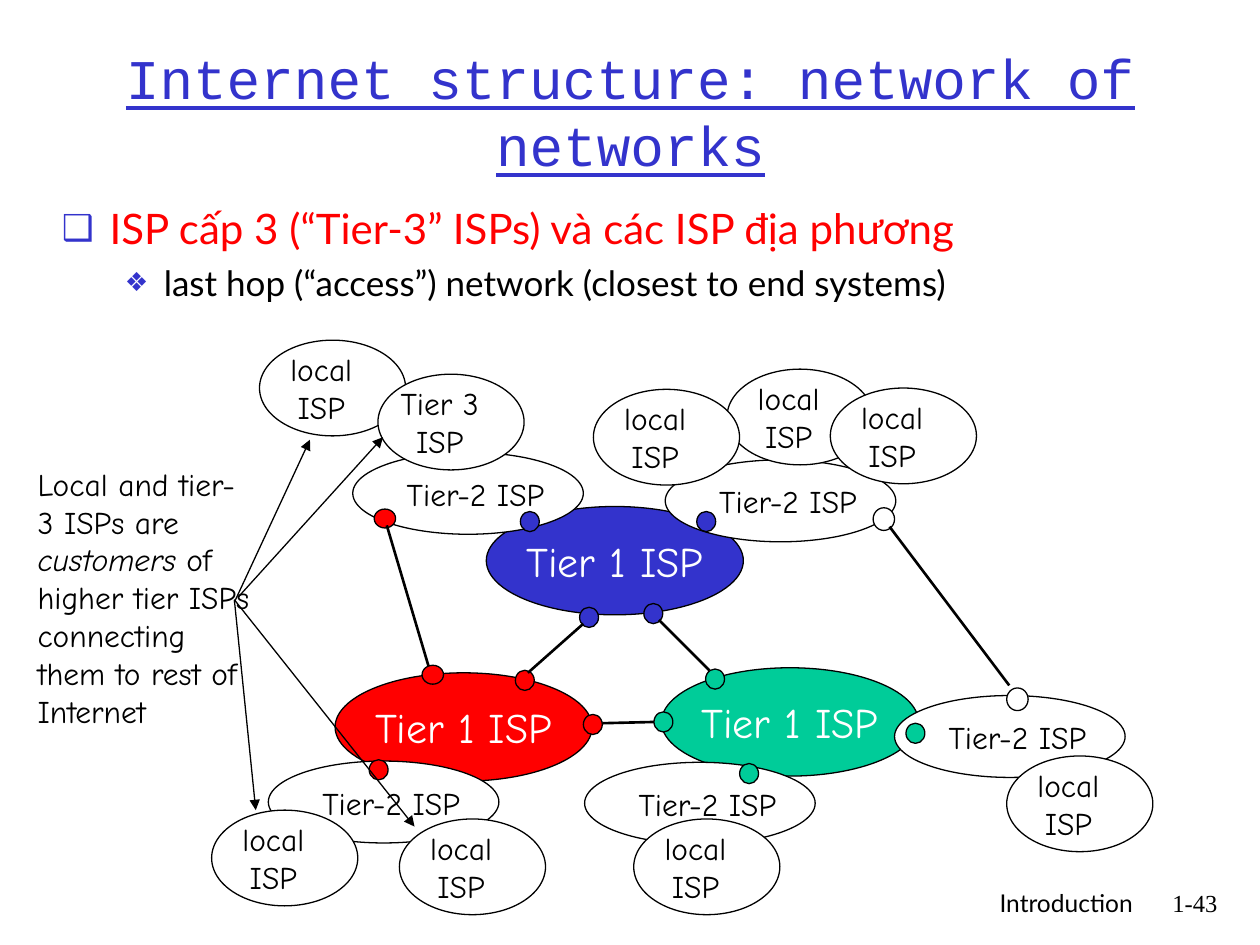
from lxml.etree import SubElement
from pptx import Presentation
from pptx.dml.color import RGBColor
from pptx.enum.shapes import MSO_CONNECTOR, MSO_SHAPE
from pptx.enum.text import MSO_ANCHOR, MSO_AUTO_SIZE, PP_ALIGN
from pptx.oxml.ns import qn
from pptx.util import Inches, Pt

BLACK = RGBColor(0x00, 0x00, 0x00)
WHITE = RGBColor(0xFF, 0xFF, 0xFF)
BLUE = RGBColor(0x33, 0x33, 0xCC)
RED = RGBColor(0xFF, 0x00, 0x00)
GREEN = RGBColor(0x00, 0xCC, 0x99)
HAND_FONT = "Comic Neue"
BODY_FONT = "Lato"

PORT_SIZE = (0.15, 0.16)
WIDE_PORT_SIZE = (0.17, 0.15)
OPEN_PORT_SIZE = (0.17, 0.18)

TIER_1_NETWORKS = [(2.66, 5.34, RED), (3.86, 4.02, BLUE), (5.25, 5.3, GREEN)]
TIER_1_PORTS = [
    (5.6, 5.31, GREEN), (5.11, 4.79, BLUE), (4.6, 4.82, BLUE),
    (4.09, 5.32, RED), (4.63, 5.67, RED), (5.19, 5.65, GREEN),
]
TIER_1_LINKS = [
    ((4.78, 5.74), (5.19, 5.73)),
    ((5.23, 4.92), (5.63, 5.32)),
    ((4.19, 5.34), (4.63, 4.95)),
]
# Each tier-2 network: left, top, then left, top and colour of its port
TIER_2_NETWORKS = [
    (5.28, 3.65, 5.53, 4.06, BLUE),
    (2.8, 3.59, 4.13, 4.06, BLUE),
    (2.13, 6.04, 2.93, 6.03, RED),
    (4.64, 6.05, 5.87, 6.06, GREEN),
    (7.1, 5.52, 7.19, 5.74, GREEN),
]
EDGE_NETWORKS = [
    (5.77, 2.93, "local"), (4.71, 3.09, "local"), (6.59, 3.08, "local"),
    (1.68, 6.43, "local"), (2.06, 2.7, "local"), (3, 2.97, "Tier 3"),
    (3.17, 6.5, "local"), (5.03, 6.5, "local"), (7.99, 6, "local"),
]
CUSTOMER_ARROWS = [
    ((1.86, 4.78), (2.46, 3.49)),
    ((1.89, 4.74), (3.04, 3.47)),
    ((1.86, 4.76), (2.03, 6.43)),
    ((1.86, 4.76), (3.29, 6.56)),
]


def add_run(paragraph, text, size, font=HAND_FONT, color=BLACK):
    run = paragraph.add_run()
    run.text = text
    run.font.size = Pt(size)
    run.font.name = font
    run.font.color.rgb = color
    return run


def add_text(slide, left, top, width, height, lines, size=18, font=HAND_FONT,
             align=PP_ALIGN.LEFT, wrap=False):
    """Add a text box; each line is a list of (text, italic) runs."""
    box = slide.shapes.add_textbox(
        Inches(left), Inches(top), Inches(width), Inches(height))
    frame = box.text_frame
    frame.word_wrap = wrap
    for index, runs in enumerate(lines):
        paragraph = frame.add_paragraph() if index else frame.paragraphs[0]
        paragraph.alignment = align
        for text, italic in runs:
            add_run(paragraph, text, size, font).font.italic = italic


def add_ellipse(slide, left, top, width, height, color):
    ellipse = slide.shapes.add_shape(
        MSO_SHAPE.OVAL, Inches(left), Inches(top), Inches(width), Inches(height))
    ellipse.shadow.inherit = False
    ellipse.fill.solid()
    ellipse.fill.fore_color.rgb = color
    ellipse.line.color.rgb = BLACK
    ellipse.line.width = Pt(0.75)
    return ellipse


def add_line(slide, start, end, width, arrow=False):
    line = slide.shapes.add_connector(
        MSO_CONNECTOR.STRAIGHT, *(Inches(value) for value in start + end))
    line.line.color.rgb = BLACK
    line.line.width = Pt(width)
    properties = line._element.spPr
    if arrow:
        SubElement(properties.find(qn("a:ln")), qn("a:tailEnd"), type="triangle")
    SubElement(properties, qn("a:effectLst"))


def add_tier_1(slide, left, top, color):
    ellipse = add_ellipse(slide, left, top, 2.04, 0.86, color)
    frame = ellipse.text_frame
    frame.word_wrap = False
    frame.vertical_anchor = MSO_ANCHOR.MIDDLE
    frame.paragraphs[0].alignment = PP_ALIGN.CENTER
    add_run(frame.paragraphs[0], "Tier 1 ISP", 24, color=WHITE)


def add_tier_2(slide, left, top, port_left, port_top, port_color):
    add_ellipse(slide, left, top, 1.83, 0.65, WHITE)
    add_text(slide, left + 0.33, top + 0.13, 1.3, 0.4, [[("Tier-2 ISP", False)]])
    add_ellipse(slide, port_left, port_top, *PORT_SIZE, port_color)


def add_edge_network(slide, left, top, name):
    add_ellipse(slide, left, top, 1.16, 0.76, WHITE)
    label_width = 0.84 if name == "Tier 3" else 0.7
    add_text(slide, left + 0.49 - label_width / 2, top + 0.03, label_width, 0.7,
             [[(name, False)], [("ISP", False)]], align=PP_ALIGN.CENTER)


def place(shape, left, top, width, height):
    shape.left, shape.top = Inches(left), Inches(top)
    shape.width, shape.height = Inches(width), Inches(height)
    shape.text_frame.auto_size = MSO_AUTO_SIZE.NONE


def fill_title(title, *box):
    place(title, *box)
    title.text_frame.vertical_anchor = MSO_ANCHOR.MIDDLE
    paragraph = title.text_frame.paragraphs[0]
    paragraph.alignment = PP_ALIGN.CENTER
    run = add_run(paragraph, "Internet structure: network of networks",
                  32, "Courier New", BLUE)
    run.font.underline = True


def format_bullet(paragraph, level, margin, indent, character, percent):
    paragraph.level = level
    properties = paragraph._p.get_or_add_pPr()
    properties.set("marL", str(Inches(margin)))
    properties.set("indent", str(Inches(indent)))
    color = SubElement(properties, qn("a:buClr"))
    SubElement(color, qn("a:srgbClr"), val=str(BLUE))
    SubElement(properties, qn("a:buSzPct"), val=str(percent * 1000))
    SubElement(properties, qn("a:buChar"), char=character)


def fill_body(body, *box):
    place(body, *box)
    heading = body.text_frame.paragraphs[0]
    heading.space_before = Pt(0)
    format_bullet(heading, 0, 0.38, -0.38, "❑", 85)
    add_run(heading, "ISP cấp 3 (“Tier-3” ISPs) và các ISP địa phương",
            24, BODY_FONT, RED)
    detail = body.text_frame.add_paragraph()
    detail.space_before = Pt(5)
    format_bullet(detail, 1, 0.81, -0.31, "❖", 75)
    add_run(detail, "last hop (“access”) network (closest to end systems)",
            20, BODY_FONT)


def add_footer(slide, top, height):
    for left, width, text, font in [(5.92, 3.17, "Introduction", BODY_FONT),
                                    (9.08, 0.68, "1-43", "Times New Roman")]:
        add_text(slide, left, top, width, height, [[(text, False)]],
                 14, font, PP_ALIGN.RIGHT, wrap=True)


def add_network_diagram(slide):
    for network in TIER_1_NETWORKS:
        add_tier_1(slide, *network)
    for left, top, color in TIER_1_PORTS:
        add_ellipse(slide, left, top, *PORT_SIZE, color)
    for start, end in TIER_1_LINKS:
        add_line(slide, start, end, 1.5)
    for network in TIER_2_NETWORKS:
        add_tier_2(slide, *network)
    add_ellipse(slide, 2.97, 4.04, *WIDE_PORT_SIZE, RED)
    add_line(slide, (3.07, 4.17), (3.42, 5.35), 1.5)
    add_ellipse(slide, 3.35, 5.28, *WIDE_PORT_SIZE, RED)
    add_ellipse(slide, 6.93, 4.03, *OPEN_PORT_SIZE, WHITE)
    add_ellipse(slide, 7.99, 5.46, *OPEN_PORT_SIZE, WHITE)
    add_line(slide, (7.06, 4.18), (8.01, 5.44), 1.5)
    for network in EDGE_NETWORKS:
        add_edge_network(slide, *network)


def add_customer_note(slide, *box):
    add_text(slide, *box, [
        [("Local and tier- 3 ISPs are ", False), ("customers", True), (" of", False)],
        [("higher tier ISPs", False)],
        [("connecting them to rest of Internet", False)],
    ], wrap=True)
    for start, end in CUSTOMER_ARROWS:
        add_line(slide, start, end, 0.75, arrow=True)


def main():
    presentation = Presentation()
    presentation.slide_width, presentation.slide_height = Inches(10), Inches(7.5)
    slide = presentation.slides.add_slide(presentation.slide_layouts[1])
    add_footer(slide, 7, 0.5)
    fill_title(slide.shapes.title, 0.58, 0.25, 8.85, 1.25)
    fill_body(slide.placeholders[1], 0.39, 1.56, 9.23, 1)
    add_network_diagram(slide)
    add_customer_note(slide, 0.2, 3.64, 1.96, 2.2)
    presentation.save("out.pptx")


if __name__ == "__main__":
    main()
